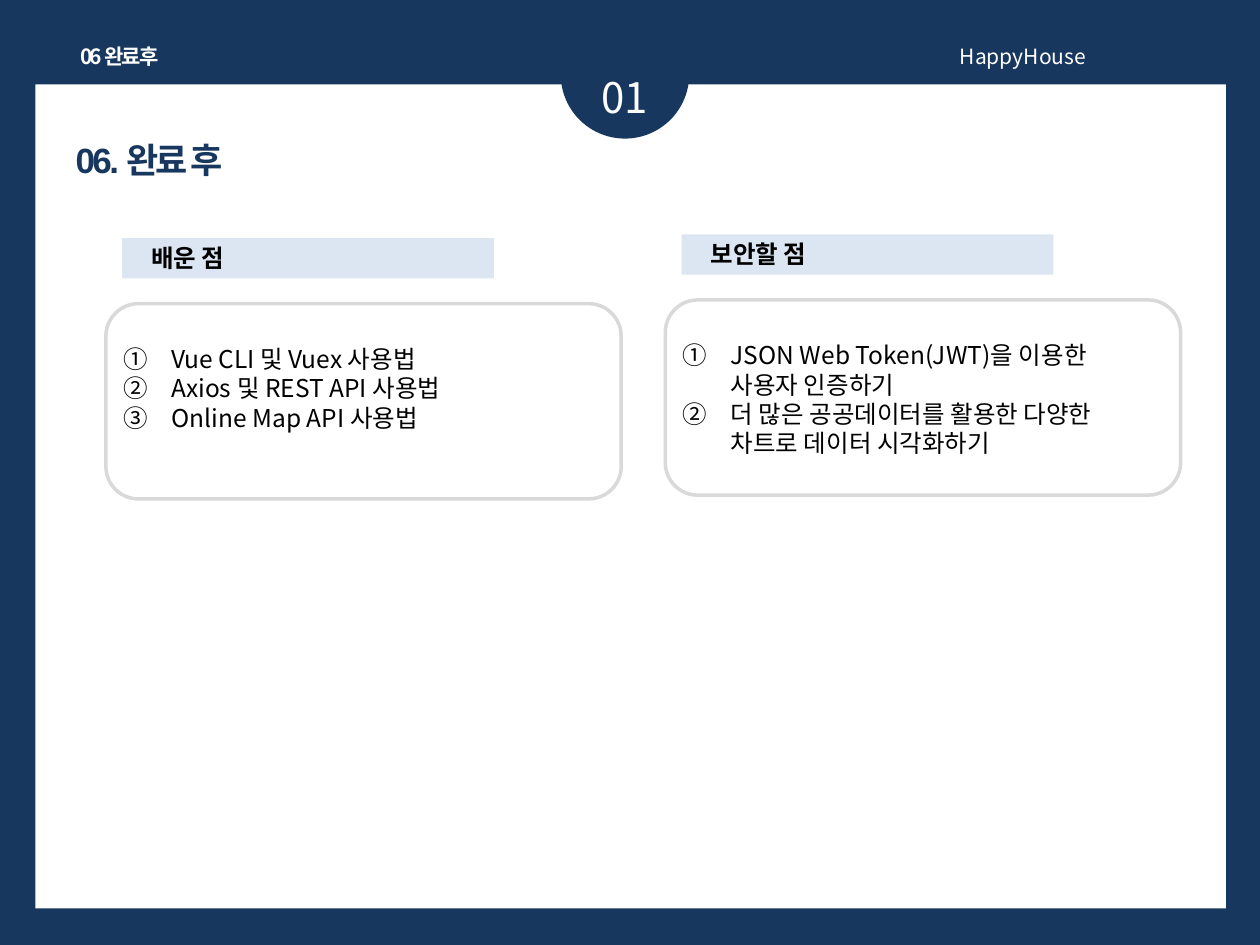
from lxml import etree
from pptx import Presentation
from pptx.dml.color import RGBColor
from pptx.enum.shapes import MSO_SHAPE
from pptx.enum.text import MSO_ANCHOR, MSO_AUTO_SIZE, PP_ALIGN
from pptx.oxml.ns import qn
from pptx.util import Inches, Pt

RECT, ROUND, OVAL = MSO_SHAPE.RECTANGLE, MSO_SHAPE.ROUNDED_RECTANGLE, MSO_SHAPE.OVAL
LEFT, CENTER, JUSTIFY = PP_ALIGN.LEFT, PP_ALIGN.CENTER, PP_ALIGN.JUSTIFY
TOP = MSO_ANCHOR.TOP
FIT_SHAPE = MSO_AUTO_SIZE.SHAPE_TO_FIT_TEXT

COLORS = {"navy": "17375E", "white": "FFFFFF", "band": "DCE6F2",
          "outline": "D9D9D9", "text": "000000"}
KOREAN_FONT = "Noto Sans CJK KR"
LIST_INDENT = 0.38


def color(name):
    return RGBColor.from_string(COLORS[name])


def write_text(frame, lines, size=14, font=KOREAN_FONT, fill="text", bold=False,
               align=LEFT, tracking=0, wrap=True, numbered=False):
    frame.word_wrap = wrap
    frame.auto_size = FIT_SHAPE
    frame.vertical_anchor = TOP
    for index, line in enumerate(lines):
        para = frame.add_paragraph() if index else frame.paragraphs[0]
        para.alignment = align
        para.space_before = Pt(0)
        if numbered:
            props = para._p.get_or_add_pPr()
            props.set("marL", str(Inches(LIST_INDENT)))
            props.set("indent", str(-Inches(LIST_INDENT)))
            etree.SubElement(props, qn("a:buAutoNum"), type="circleNumDbPlain")
        span = para.add_run()
        span.text = line
        span.font.size = Pt(size)
        span.font.name = font
        span.font.bold = bold
        span.font.color.rgb = color(fill)
        span_props = span.font._element
        if tracking:
            span_props.set("spc", str(int(tracking * 100)))
        # The East Asian typeface follows the Latin one
        east_asian = etree.Element(qn("a:ea"), typeface=KOREAN_FONT)
        span_props.find(qn("a:latin")).addnext(east_asian)


class SlideBuilder:
    def __init__(self, page):
        self.page = page

    def background(self, fill):
        self.page.background.fill.solid()
        self.page.background.fill.fore_color.rgb = color(fill)

    def shape(self, kind, left, top, width, height, fill=None, line=None):
        box = self.page.shapes.add_shape(
            kind, Inches(left), Inches(top), Inches(width), Inches(height))
        box.shadow.inherit = False
        if fill:
            box.fill.solid()
            box.fill.fore_color.rgb = color(fill)
        else:
            box.fill.background()
        if line:
            box.line.color.rgb = color(line)
            box.line.width = Pt(2)
        else:
            box.line.fill.background()

    def text(self, left, top, width, height, lines, **style):
        box = self.page.shapes.add_textbox(
            Inches(left), Inches(top), Inches(width), Inches(height))
        write_text(box.text_frame, lines, **style)

    def placeholder(self, number, left, top, width, height, lines, **style):
        box = self.page.placeholders[number]
        box.left, box.top = Inches(left), Inches(top)
        box.width, box.height = Inches(width), Inches(height)
        write_text(box.text_frame, lines, **style)
        # Bring the placeholder in front of the shapes drawn so far
        box._element.getparent().append(box._element)

    def topic(self, left, top, heading_number, heading, items, list_height):
        self.shape(RECT, left, top, 2.95, 0.32, fill="band")
        self.shape(ROUND, left - 0.13, top + 0.52, 4.09, 1.55, line="outline")
        self.placeholder(heading_number, left + 0.13, top - 0.01, 2.8, 0.34,
                         [heading], bold=True)
        self.placeholder(heading_number + 1, left - 0.09, top + 0.79, 3.94,
                         list_height, items, numbered=True)


def main():
    deck = Presentation()
    deck.slide_width, deck.slide_height = Inches(10), Inches(7.5)
    # The comparison layout holds a title, two headings and two lists
    builder = SlideBuilder(deck.slides.add_slide(deck.slide_layouts[4]))

    # Frame and page number
    builder.background("navy")
    builder.shape(RECT, 0.28, 0.67, 9.45, 6.54, fill="white")
    builder.shape(OVAL, 4.45, 0.08, 1.02, 1.02, fill="navy")
    builder.text(4.37, 0.52, 1.18, 0.5, ["01"], size=24, fill="white", align=CENTER)

    # Header
    builder.text(0.51, 0.3, 0.88, 0.3, ["06 완료 후"], size=12, fill="white",
                 bold=True, align=CENTER, tracking=-1.5, wrap=False)
    builder.text(7.52, 0.3, 2.13, 0.3, ["HappyHouse"], size=12, fill="white",
                 align=JUSTIFY)

    # Title
    builder.placeholder(0, 0.5, 1.05, 7.37, 0.44, ["06. 완료 후"], size=20,
                        font="Arial", fill="navy", bold=True, tracking=-1.5)

    # Lessons learned and points to improve
    builder.topic(0.97, 1.89, 1, "배운 점",
                  ["Vue CLI 및 Vuex 사용법", "Axios 및 REST API 사용법",
                   "Online Map API 사용법"], 0.81)
    builder.topic(5.41, 1.86, 3, "보안할 점",
                  ["JSON Web Token(JWT)을 이용한 사용자 인증하기",
                   "더 많은 공공데이터를 활용한 다양한 차트로 데이터 시각화하기"], 1.57)

    deck.save("out.pptx")


if __name__ == "__main__":
    main()
